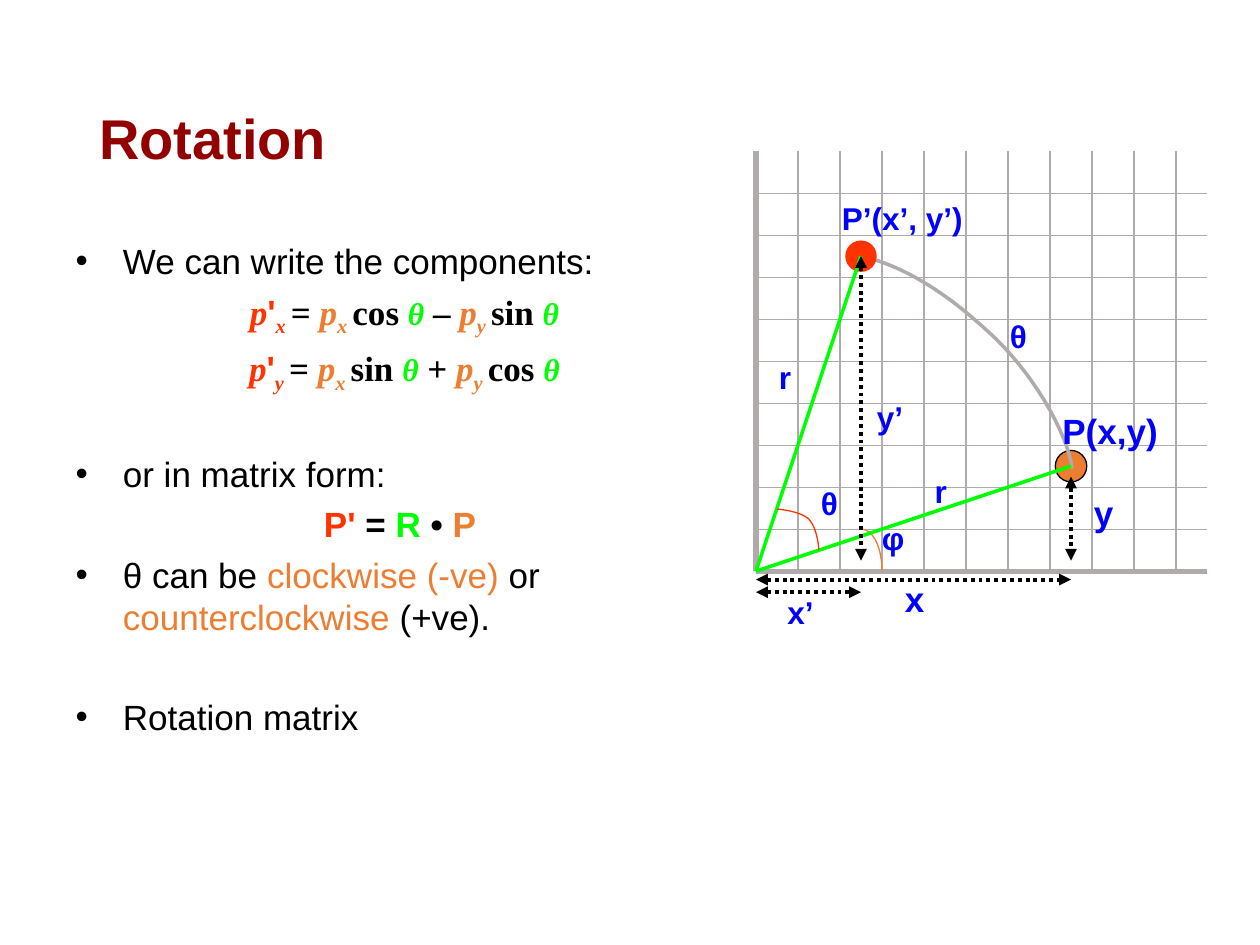
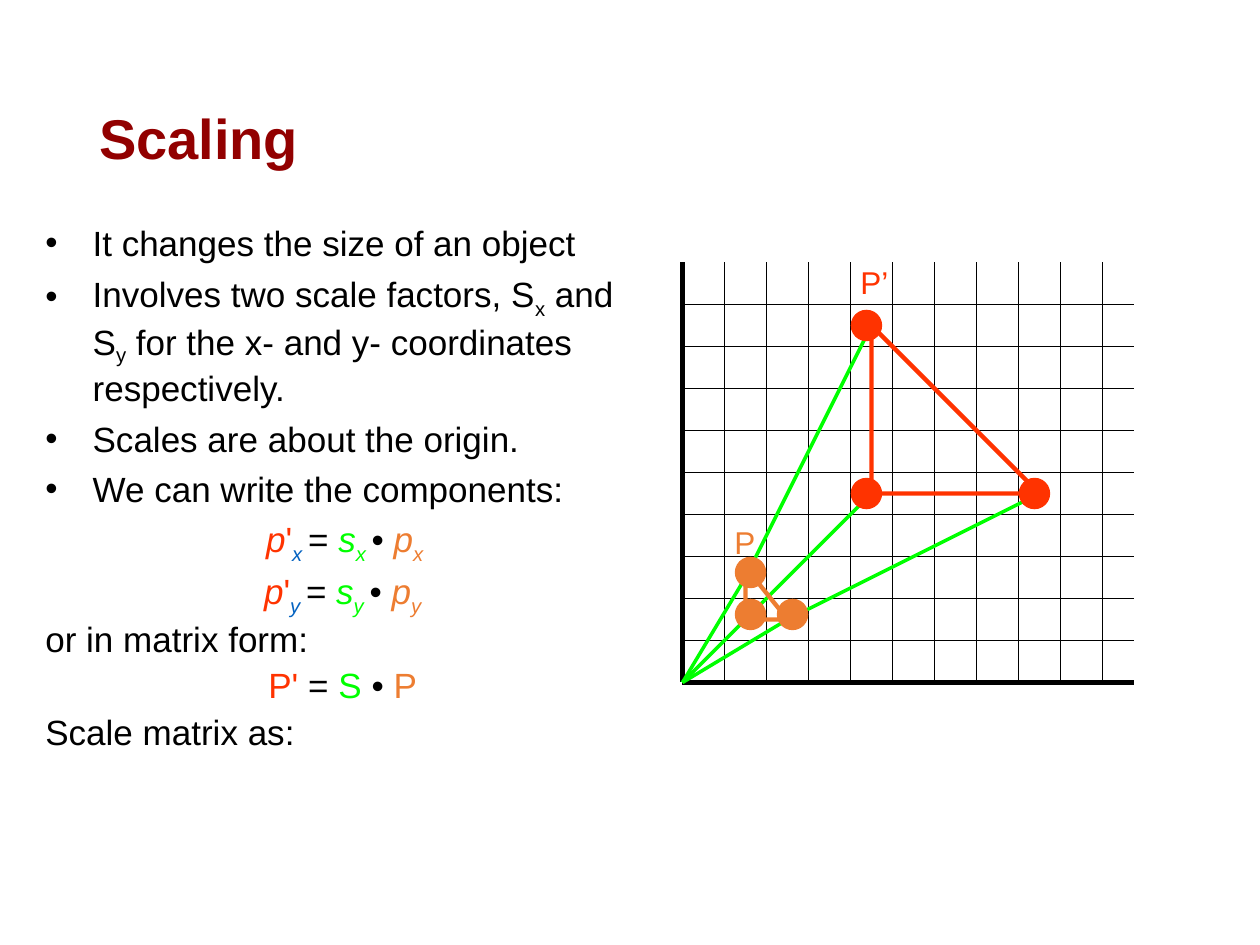
from dataclasses import dataclass
from typing import NamedTuple

from lxml import etree
from pptx import Presentation, util as u
from pptx.dml.color import RGBColor
from pptx.enum import dml, shapes, text
from pptx.oxml import ns


# ---- Shared look ----
@dataclass(frozen=True)
class Theme:
    ink: str = "000000"
    title: str = "920000"
    image: str = "FF3300"      # transformed point
    source: str = "ED7D31"     # point before the transform
    factor: str = "00FF00"     # rotation or scale factor
    label: str = "0000FF"
    axis_grey: str = "AFABAB"
    subscript: str = "0563C1"
    sans: str = "Arial"
    serif: str = "Times New Roman"
    title_size: float = 32
    body_size: float = 20
    small_size: float = 18
    hairline: float = 0.75
    ray: float = 2
    axis: float = 3
    dot: float = 18
    indent: float = 27
    gap: float = 5
    wide_gap: float = 33


T = Theme()
Point = tuple[float, float]


class Span(NamedTuple):
    text: str
    color: str = T.ink
    size: float = T.body_size
    font: str = T.sans
    bold: bool = False
    italic: bool = False
    baseline: int = 0


@dataclass
class Line:
    spans: list[Span]
    bullet: bool = False
    centred: bool = False
    before: float = T.gap
    spacing: float = 1.0


class Label(NamedTuple):
    text: str
    left: float
    top: float
    width: float
    size: float = T.small_size
    color: str = T.label
    bold: bool = True


# ---- Text ----
def add_span(paragraph, span: Span) -> None:
    run = paragraph.add_run()
    run.text = span.text
    values = dict(name=span.font, size=u.Pt(span.size), bold=span.bold, italic=span.italic)
    for attribute, value in values.items():
        setattr(run.font, attribute, value)
    run.font.color.rgb = RGBColor.from_string(span.color)
    if span.baseline:
        run._r.get_or_add_rPr().set("baseline", str(span.baseline * 1000))


def place(shape, left: float, top: float, width: float, height: float) -> None:
    for side, value in dict(left=left, top=top, width=width, height=height).items():
        setattr(shape, side, u.Pt(value))


def add_title(slide, wording: str) -> None:
    title = slide.shapes.title
    place(title, 49.5, 28.8, 620.6, 104.4)
    title.text_frame.auto_size = text.MSO_AUTO_SIZE.NONE
    title.text_frame.vertical_anchor = text.MSO_ANCHOR.MIDDLE
    heading = title.text_frame.paragraphs[0]
    heading.alignment = text.PP_ALIGN.LEFT
    heading.line_spacing = 0.9
    add_span(heading, Span(wording, T.title, T.title_size, bold=True))


def add_body(slide, box: tuple[float, float, float, float], lines: list[Line]) -> None:
    body = slide.placeholders[1]
    place(body, *box)
    frame = body.text_frame
    frame.auto_size = text.MSO_AUTO_SIZE.NONE
    frame.vertical_anchor = text.MSO_ANCHOR.TOP
    for index, line in enumerate(lines):
        paragraph = frame.add_paragraph() if index else frame.paragraphs[0]
        properties = paragraph._p.get_or_add_pPr()
        properties.set("marL", str(u.Pt(T.indent)))
        properties.set("indent", str(-u.Pt(T.indent)))
        if line.bullet:
            etree.SubElement(properties, ns.qn("a:buFont"), typeface=T.sans)
            etree.SubElement(properties, ns.qn("a:buChar"), char="•")
        else:
            etree.SubElement(properties, ns.qn("a:buNone"))
        paragraph.alignment = text.PP_ALIGN.CENTER if line.centred else text.PP_ALIGN.LEFT
        paragraph.space_before = u.Pt(line.before if index else 0)
        paragraph.line_spacing = line.spacing
        for span in line.spans:
            add_span(paragraph, span)


def add_label(slide, label: Label) -> None:
    box = slide.shapes.add_textbox(*map(u.Pt, (label.left, label.top, label.width, 28.8)))
    box.text_frame.word_wrap = False
    add_span(box.text_frame.paragraphs[0],
             Span(label.text, label.color, label.size, bold=label.bold))


# ---- Formula parts ----
def term(symbol: str, sub: str, color: str, sub_color: str = "", prime: bool = False,
         font: str = T.sans, bold: bool = False) -> list[Span]:
    look = dict(font=font, bold=bold, italic=True)
    mark = [Span("'", color, bold=bold)] if prime else []
    return [Span(symbol, color, **look), *mark,
            Span(sub, sub_color or color, baseline=-25, **look)]


def rotation_formula(axis: str, first: str, sign: str, second: str) -> Line:
    serif = dict(font=T.serif, bold=True)
    theta = Span("θ", T.factor, T.small_size, italic=True, **serif)
    return Line([Span(" ", **serif), *term("p", f"{axis} ", T.image, prime=True, **serif),
                 Span("= ", **serif), *term("p", "x ", T.source, **serif),
                 Span(f"{first} ", **serif), theta, Span(f" {sign} ", **serif),
                 *term("p", "y ", T.source, **serif), Span(f"{second} ", **serif), theta],
                centred=True)


def scaling_formula(axis: str, lead: str, last: str) -> Line:
    return Line([*([Span(lead)] if lead else []),
                 *term("p", f"{axis} ", T.image, T.subscript, prime=True), Span("= "),
                 *term("s", f"{axis} ", T.factor), Span("• "), *term("p", last, T.source)],
                centred=True, spacing=0.9)


def matrix_formula(matrix: str, bold: bool, spacing: float) -> Line:
    parts = [("P' ", T.image), ("= ", T.ink), (f"{matrix} ", T.factor),
             ("• ", T.ink), ("P", T.source)]
    return Line([Span(part, color, bold=bold) for part, color in parts],
                centred=True, spacing=spacing)


# ---- Drawing in grid cells, counted from the origin ----
def style_line(line, color: str, width: float, head: bool = False, tail: bool = False,
               dotted: bool = False) -> None:
    line.color.rgb = RGBColor.from_string(color)
    line.width = u.Pt(width)
    if dotted:
        line.dash_style = dml.MSO_LINE.ROUND_DOT
    for tag, wanted in (("a:headEnd", head), ("a:tailEnd", tail)):
        if wanted:
            etree.SubElement(line._get_or_add_ln(), ns.qn(tag), type="triangle")


@dataclass
class Graph:
    slide: object
    left: float
    base: float
    color: str
    cell: float = 24
    columns: float = 10.75
    rows: int = 10

    def at(self, point: Point) -> tuple[u.Pt, u.Pt]:
        return (u.Pt(self.left + point[0] * self.cell), u.Pt(self.base - point[1] * self.cell))

    def line(self, start: Point, end: Point, color: str, width: float, **ends: bool) -> None:
        connector = self.slide.shapes.add_connector(
            shapes.MSO_CONNECTOR.STRAIGHT, *self.at(start), *self.at(end))
        style_line(connector.line, color, width, **ends)
        etree.SubElement(connector._element.spPr, ns.qn("a:effectLst"))

    def grid(self) -> None:
        for column in range(self.rows + 1):
            width = T.hairline if column else T.axis
            self.line((column, self.rows), (column, 0), self.color, width)
        for row in range(self.rows):
            width = T.hairline if row else T.axis
            self.line((0, row), (self.columns, row), self.color, width)

    def dot(self, centre: Point, color: str, outline: str = "") -> None:
        x, y = self.at(centre)
        size = u.Pt(T.dot)
        dot = self.slide.shapes.add_shape(
            shapes.MSO_SHAPE.OVAL, x - size // 2, y - size // 2, size, size)
        dot.shadow.inherit = False
        dot.fill.solid()
        dot.fill.fore_color.rgb = RGBColor.from_string(color)
        if outline:
            style_line(dot.line, outline, T.hairline)
        else:
            dot.line.fill.background()

    def triangle(self, top: Point, right: Point, color: str) -> None:
        (x1, y1), (x2, y2) = self.at(top), self.at(right)
        triangle = self.slide.shapes.add_shape(
            shapes.MSO_SHAPE.RIGHT_TRIANGLE, x1, y1, x2 - x1, y2 - y1)
        triangle.shadow.inherit = False
        triangle.fill.background()
        style_line(triangle.line, color, 2.5)

    def curve(self, controls: list[Point], color: str, width: float, tail: bool = False) -> None:
        """Draw joined cubic curves: a start, then three points for each piece."""
        steps = 16
        points = [self.at(controls[0])]
        for first in range(0, len(controls) - 1, 3):
            piece = controls[first:first + 4]
            for step in range(1, steps + 1):
                t = step / steps
                weights = ((1 - t) ** 3, 3 * t * (1 - t) ** 2, 3 * t * t * (1 - t), t ** 3)
                points.append(self.at(tuple(
                    sum(w * p[axis] for w, p in zip(weights, piece)) for axis in (0, 1))))
        builder = self.slide.shapes.build_freeform(*points[0])
        builder.add_line_segments(points[1:], close=False)
        arc = builder.convert_to_shape()
        arc.shadow.inherit = False
        arc.fill.background()
        style_line(arc.line, color, width, tail=tail)


# ---- Slides ----
def rotation(slide) -> None:
    add_title(slide, "Rotation")
    add_body(slide, (36, 133.2, 385.2, 304.6), [
        Line([Span("We can write the components:")], bullet=True),
        rotation_formula("x", "cos", "–", "sin"),
        rotation_formula("y", "sin", "+", "cos"),
        Line([Span("or in matrix form:")], bullet=True, before=T.wide_gap),
        matrix_formula("R", True, 1.0),
        Line([Span("θ can be "), Span("clockwise (-ve)", T.source), Span(" or "),
              Span("counterclockwise", T.source), Span(" (+ve).")], bullet=True),
        Line([Span("Rotation matrix")], bullet=True, before=T.wide_gap),
    ])
    graph = Graph(slide, 432, 326.4, T.axis_grey)
    origin, point, rotated = (0, 0), (7.5, 2.5), (2.5, 7.5)
    graph.grid()
    # Path of the point and the angle at the x axis
    graph.dot(point, T.source, T.ink)
    graph.curve([(7.53, 2.44), (7.41, 3.31), (6.57, 4.78), (5.49, 5.74),
                 (4.44, 6.7), (3.48, 7.27), (2.52, 7.5)], T.axis_grey, T.ray, tail=True)
    graph.curve([(2.5, 1), (2.8, 1), (3, 0.55), (3, 0)], T.source, T.hairline)
    # Radii and rotation angle
    graph.line(origin, point, T.factor, T.ray)
    graph.dot(rotated, T.image)
    graph.line(origin, rotated, T.factor, T.ray)
    graph.curve([(1.5, 0.5), (1.47, 0.8), (1.41, 1.06), (1.26, 1.24),
                 (1.08, 1.39), (0.78, 1.45), (0.5, 1.48)], T.image, T.hairline)
    # Coordinate measures
    for start, end in [((7.5, 2.25), (7.5, 0.25)), ((0, -0.2), (7.5, -0.2)),
                       (rotated, (2.5, 0.25)), ((0, -0.5), (2.5, -0.5))]:
        graph.line(start, end, T.ink, 2.25, head=True, tail=True, dotted=True)
    for label in [Label("θ", 570, 177.8, 24), Label("φ", 496.8, 293, 28.8),
                  Label("P(x,y)", 600, 230.4, 69.8, T.body_size),
                  Label("x", 510, 326.4, 26, T.body_size),
                  Label("y", 618, 277.2, 26, T.body_size),
                  Label("r", 527, 266.4, 21.6), Label("x’", 442.8, 335.5, 29.5),
                  Label("y’", 494, 224, 29.5), Label("θ", 462, 273, 24),
                  Label("P’(x’, y’)", 474, 110.4, 84), Label("r", 438, 201, 21.6)]:
        add_label(slide, label)


def scaling(slide) -> None:
    add_title(slide, "Scaling")
    add_body(slide, (18.7, 123.1, 354.2, 315.4), [
        Line([Span("It changes the size of an object")], bullet=True),
        Line([Span("Involves two scale factors, S"), Span("x", baseline=-25),
              Span(" and S"), Span("y", baseline=-20),
              Span(" for the x- and y- coordinates respectively.")], bullet=True),
        Line([Span("Scales are about the origin.")], bullet=True),
        Line([Span("We can write the components:")], bullet=True),
        scaling_formula("x", " ", "x "),
        scaling_formula("y", "", "y"),
        Line([Span("or in matrix form:")], spacing=0.9),
        matrix_formula("S", False, 0.9),
        Line([Span("Scale matrix as:")], spacing=0.9),
    ])
    graph = Graph(slide, 390, 390, T.ink)
    corners = [(1.5, 2.5), (1.5, 1.5), (2.5, 1.5)]
    scaled = [(4.5, 8.5), (4.5, 4.5), (8.5, 4.5)]
    graph.grid()
    for corner, target in zip(corners, scaled):
        graph.line(corner, target, T.factor, T.ray, tail=True)
    graph.triangle((1.5, 2.75), corners[2], T.source)
    graph.triangle(scaled[0], scaled[2], T.image)
    for corner in corners:
        graph.line(corner, (0, 0), T.factor, T.ray)
    # Corner dots sit slightly off the triangle corners
    for points, color, dx, dy in [(corners, T.source, 0.12, 0.12), (scaled, T.image, -0.12, 0)]:
        for x, y in points:
            graph.dot((x + dx, y + dy), color)
    add_label(slide, Label("P", 412.6, 295.2, 26.4, color=T.source, bold=False))
    add_label(slide, Label("P’", 484.6, 146.9, 31.7, color=T.image, bold=False))


def main() -> None:
    deck = Presentation()
    deck.slide_width, deck.slide_height = u.Pt(720), u.Pt(540)
    for build in (rotation, scaling):
        build(deck.slides.add_slide(deck.slide_layouts[1]))
    deck.save("out.pptx")


if __name__ == "__main__":
    main()
